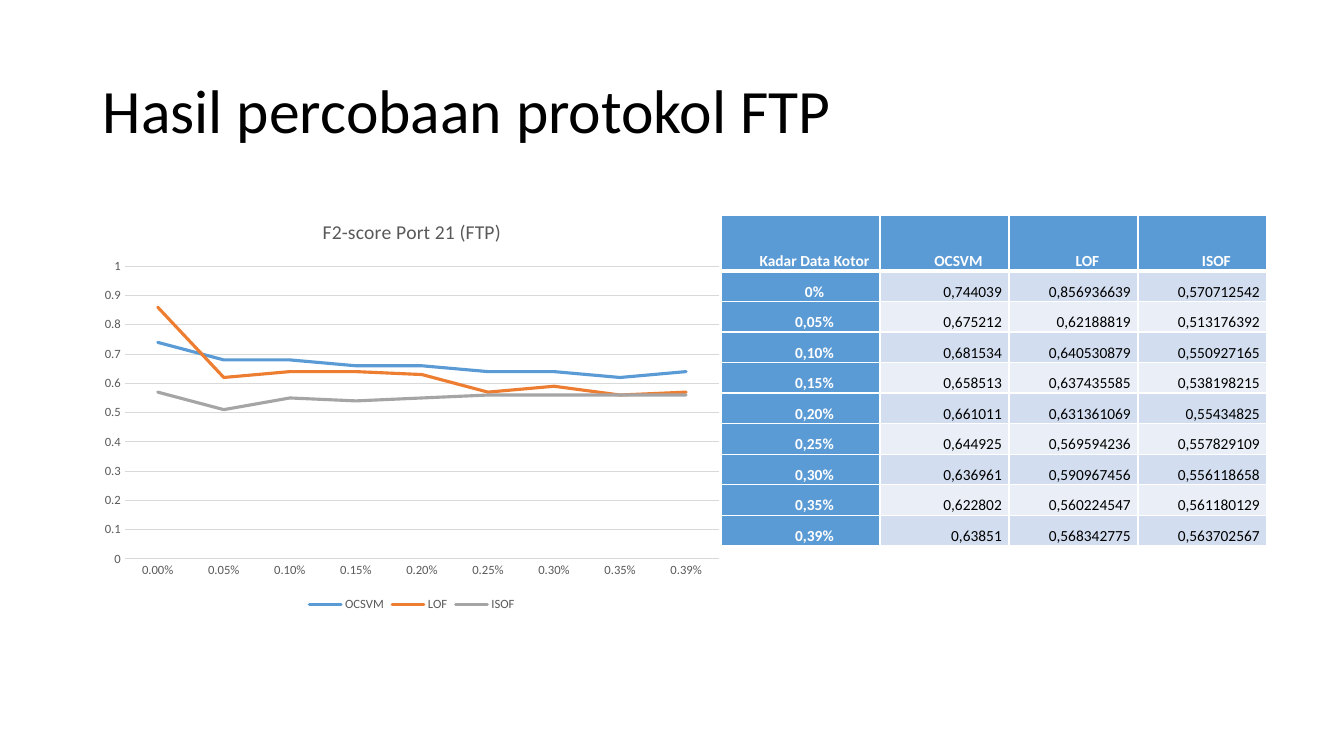
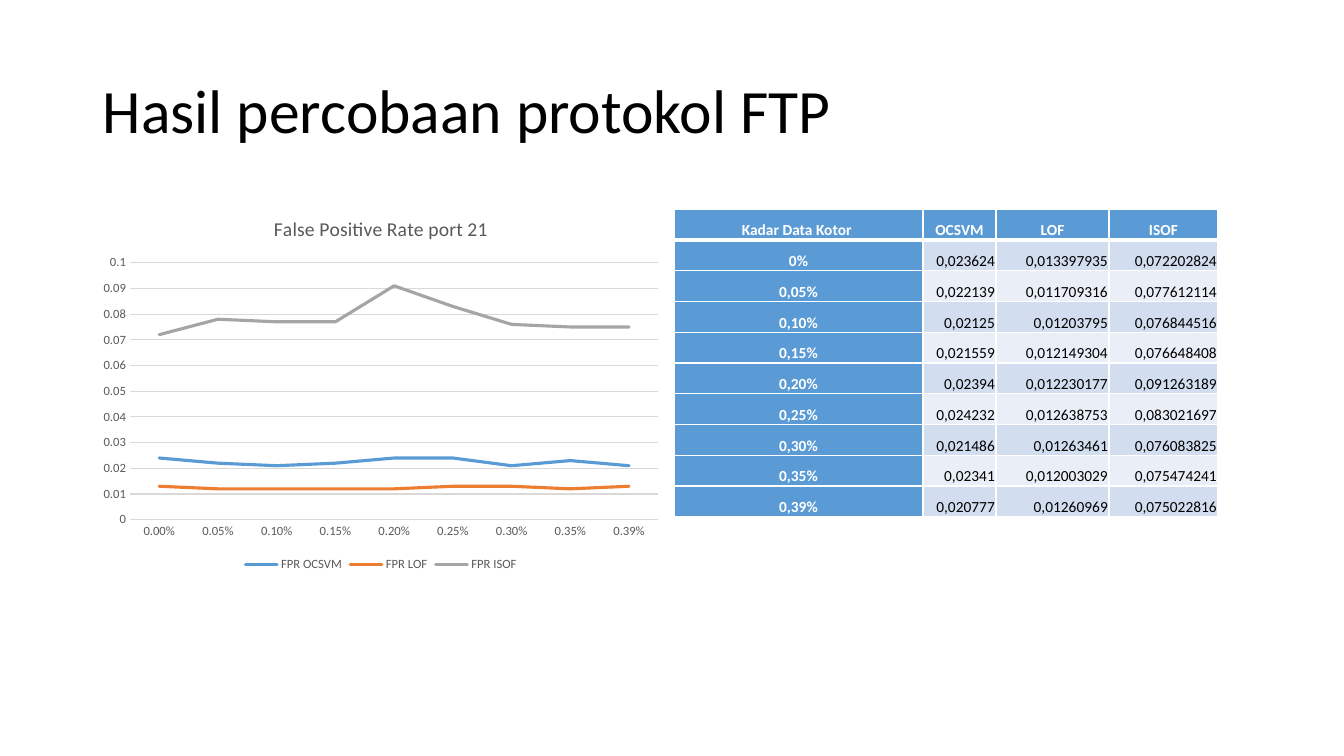
import pptx
import pptx.chart.data
import pptx.dml.color
import pptx.enum.chart
import pptx.enum.text
import pptx.oxml
import pptx.oxml.ns
import pptx.util

TITLE = "Hasil percobaan protokol FTP"
RATES = ["0%", "0,05%", "0,10%", "0,15%", "0,20%", "0,25%", "0,30%", "0,35%", "0,39%"]
MODELS = ["OCSVM", "LOF", "ISOF"]

SLIDES = [
    {
        "chart": "F2-score Port 21 (FTP)",
        "prefix": "",
        "digits": 2,
        "area": (92, 201, 640, 415),
        "head": "Kadar Data Kotor",
        "spot": (721, 215),
        "cols": (159, 129, 129, 129),
        "tall": (56, 331),
        "inset": (7, 0, 7, 0),
        "para": {"indent": 28, "line": 1.07, "after": 8},
        "data": [
            ("0,744039", "0,856936639", "0,570712542"),
            ("0,675212", "0,62188819", "0,513176392"),
            ("0,681534", "0,640530879", "0,550927165"),
            ("0,658513", "0,637435585", "0,538198215"),
            ("0,661011", "0,631361069", "0,55434825"),
            ("0,644925", "0,569594236", "0,557829109"),
            ("0,636961", "0,590967456", "0,556118658"),
            ("0,622802", "0,560224547", "0,561180129"),
            ("0,63851", "0,568342775", "0,563702567"),
        ],
    },
    {
        "chart": "False Positive Rate port 21",
        "prefix": "FPR ",
        "digits": 3,
        "area": (92, 199, 578, 377),
        "head": "Kadar Data Kotor\u00a0",
        "spot": (674, 209),
        "cols": (249, 73, 113, 109),
        "tall": (31, 308),
        "inset": (1, 1, 1, 0),
        "para": {"indent": 0, "line": 1.0, "after": 0},
        "data": [
            ("0,023624", "0,013397935", "0,072202824"),
            ("0,022139", "0,011709316", "0,077612114"),
            ("0,02125", "0,01203795", "0,076844516"),
            ("0,021559", "0,012149304", "0,076648408"),
            ("0,02394", "0,012230177", "0,091263189"),
            ("0,024232", "0,012638753", "0,083021697"),
            ("0,021486", "0,01263461", "0,076083825"),
            ("0,02341", "0,012003029", "0,075474241"),
            ("0,020777", "0,01260969", "0,075022816"),
        ],
    },
]


class Theme:
    font = "Calibri"
    black, white, gray, rule = "000000", "FFFFFF", "595959", "D9D9D9"
    lines = ("5B9BD5", "ED7D31", "A5A5A5")
    head = "5B9BD5"
    bands = ("D2DEEF", "EAEFF7")
    title, label, cell, base, tick = 44, 14, 11, 10, 9
    curve, hair, thin, thick = 2.25, 0.75, 1, 3


Pt = pptx.util.Pt
Align = pptx.enum.text.PP_ALIGN
Anchor = pptx.enum.text.MSO_ANCHOR


def px(n):
    return round(n * 914400 / 100.8)


def rgb(code):
    return pptx.dml.color.RGBColor.from_string(code)


def style(font, size, color, bold=False):
    font.name, font.size, font.bold = Theme.font, Pt(size), bold
    font.color.rgb = rgb(color)


def stroke(line, color, width):
    line.color.rgb = rgb(color)
    line.width = Pt(width)


def number(text):
    return float(text.rstrip("%").replace(",", "."))


def add_title(slide):
    box = slide.shapes.add_textbox(px(93), px(41), px(1159), px(146))
    frame = box.text_frame
    frame.word_wrap = True
    frame.vertical_anchor = Anchor.MIDDLE
    frame.text = TITLE
    para = frame.paragraphs[0]
    para.line_spacing = 0.9
    style(para.runs[0].font, Theme.title, Theme.black)


def add_graph(slide, page):
    data = pptx.chart.data.CategoryChartData()
    data.categories = [round(number(rate) / 100, 4) for rate in RATES]
    data.categories.number_format = "0.00%"
    for name, column in zip(MODELS, zip(*page["data"])):
        vals = [round(number(v), page["digits"]) for v in column]
        data.add_series(page["prefix"] + name, vals)
    kind = pptx.enum.chart.XL_CHART_TYPE.LINE
    chart = slide.shapes.add_chart(kind, *map(px, page["area"]), data).chart
    style(chart.font, Theme.base, Theme.black)

    chart.has_title = True
    frame = chart.chart_title.text_frame
    frame.text = page["chart"]
    style(frame.paragraphs[0].runs[0].font, Theme.label, Theme.gray)
    chart.chart_title.include_in_layout = False

    chart.has_legend = True
    chart.legend.position = pptx.enum.chart.XL_LEGEND_POSITION.BOTTOM
    chart.legend.include_in_layout = False
    style(chart.legend.font, Theme.tick, Theme.gray)

    cat, val = chart.category_axis, chart.value_axis
    for axis, form in ((cat, "0.00%"), (val, "General")):
        axis.major_tick_mark = axis.minor_tick_mark = pptx.enum.chart.XL_TICK_MARK.NONE
        style(axis.tick_labels.font, Theme.tick, Theme.gray)
        axis.tick_labels.number_format = form
        axis.tick_labels.number_format_is_linked = False
    stroke(cat.format.line, Theme.rule, Theme.hair)
    val.format.line.fill.background()
    val.has_major_gridlines = True
    stroke(val.major_gridlines.format.line, Theme.rule, Theme.hair)

    chart.plots[0].vary_by_categories = False
    for series, color in zip(chart.plots[0].series, Theme.lines):
        series.smooth = False
        stroke(series.format.line, color, Theme.curve)
        series.format.line._get_or_add_ln().set("cap", "rnd")


def add_edges(cell, widths):
    props = cell._tc.get_or_add_tcPr()
    for side, width in widths.items():
        props.append(pptx.oxml.parse_xml(
            f'<a:ln{side} {pptx.oxml.ns.nsdecls("a")} w="{Pt(width)}"><a:solidFill>'
            f'<a:srgbClr val="{Theme.white}"/></a:solidFill></a:ln{side}>'))


def fill_cell(cell, text, row, col, page):
    top = Theme.thick if row == 1 else Theme.thin
    low = Theme.thick if row == 0 else Theme.thin
    add_edges(cell, {"L": Theme.thin, "R": Theme.thin, "T": top, "B": low})
    head = row == 0 or col == 0
    cell.fill.solid()
    cell.fill.fore_color.rgb = rgb(Theme.head if head else Theme.bands[(row - 1) % 2])
    cell.vertical_anchor = Anchor.BOTTOM
    (cell.margin_left, cell.margin_top,
     cell.margin_right, cell.margin_bottom) = map(px, page["inset"])
    cell.text_frame.text = text
    para, look = cell.text_frame.paragraphs[0], page["para"]
    para.alignment = Align.CENTER if head else Align.RIGHT
    para.line_spacing = look["line"]
    para.space_after = Pt(look["after"])
    para._p.get_or_add_pPr().set("indent", str(px(look["indent"])))
    style(para.runs[0].font, Theme.cell, Theme.white if head else Theme.black, head)


def add_grid(slide, page):
    rows = [(page["head"], *MODELS)]
    rows += [(rate, *vals) for rate, vals in zip(RATES, page["data"])]
    first, total = page["tall"]
    size = (sum(page["cols"]), total)
    shape = slide.shapes.add_table(len(rows), len(rows[0]), *map(px, page["spot"] + size))
    table = shape.table
    table.first_row = table.horz_banding = False
    for col, width in zip(table.columns, page["cols"]):
        col.width = px(width)
    for r, row in enumerate(rows):
        table.rows[r].height = px(first if r == 0 else (total - first) / len(RATES))
        for c, text in enumerate(row):
            fill_cell(table.cell(r, c), text, r, c, page)


deck = pptx.Presentation()
deck.slide_width, deck.slide_height = px(1344), px(756)
for page in SLIDES:
    slide = deck.slides.add_slide(deck.slide_layouts[6])
    add_title(slide)
    add_graph(slide, page)
    add_grid(slide, page)
deck.save("out.pptx")
